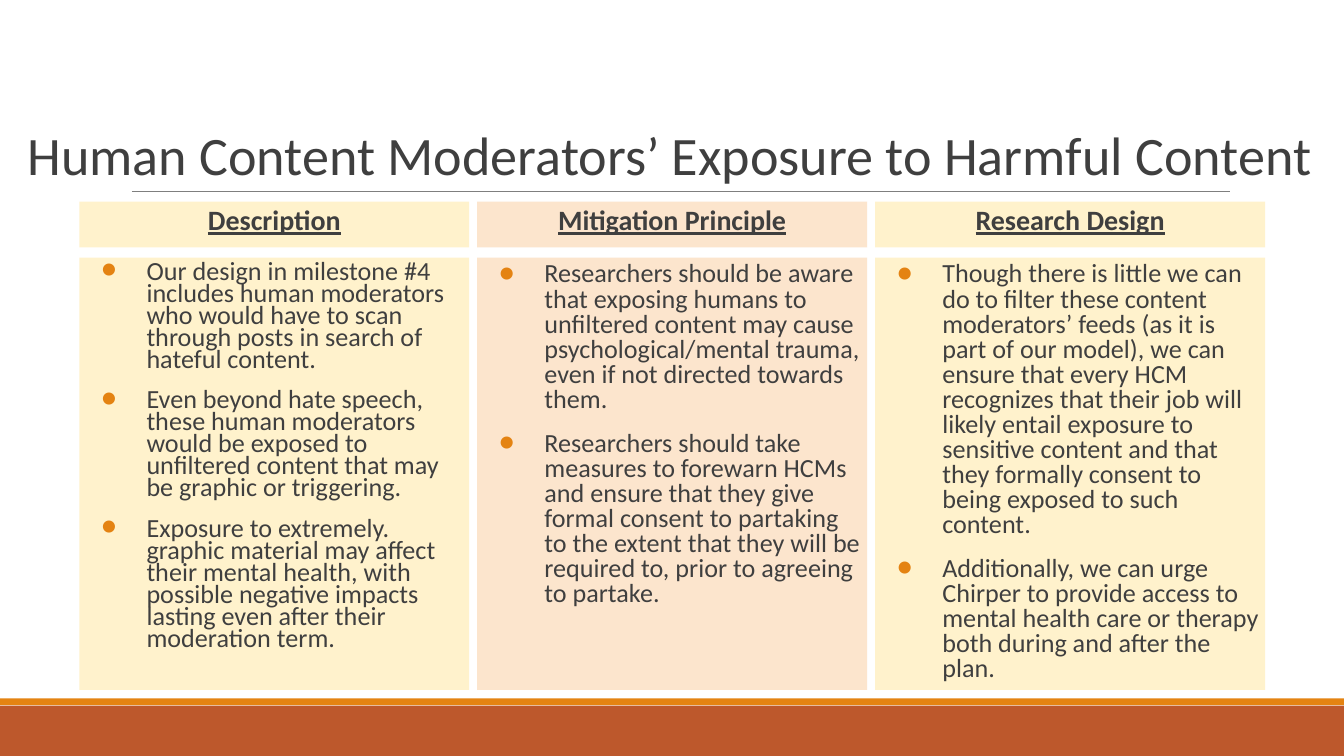
from dataclasses import dataclass
from typing import NamedTuple

from lxml.etree import SubElement
from pptx import Presentation
from pptx.dml.color import RGBColor
from pptx.enum.shapes import MSO_CONNECTOR, MSO_SHAPE
from pptx.enum.text import MSO_ANCHOR, PP_ALIGN
from pptx.oxml.ns import qn
from pptx.util import Cm, Pt


@dataclass(frozen=True)
class Theme:
    font: str = "Calibri"
    text: str = "3F3F3F"
    accent: str = "E48312"
    footer: str = "BD582C"
    rule: str = "7F7F7F"
    cream: str = "FFF2CC"
    peach: str = "FCE5CD"
    title_size: int = 29
    heading_size: int = 15
    body_size: int = 14


class Box(NamedTuple):
    left: float
    top: float
    width: float
    height: float

    def lengths(self) -> list:
        return [Cm(value) for value in self]


class Column(NamedTuple):
    heading: str
    fill: str
    line_spacing: float
    points: tuple


THEME = Theme()
SLIDE_WIDTH, SLIDE_HEIGHT = 25.4, 14.29
COLUMN_LEFT, COLUMN_WIDTH, COLUMN_PITCH = 1.5, 7.37, 7.52
HEADING_TOP, HEADING_HEIGHT = 3.81, 0.87
BODY_TOP, BODY_HEIGHT = 4.87, 8.17

COLUMNS = (
    Column("Description", THEME.cream, 0.7, (
        "Our design in milestone #4 includes human moderators who would have "
        "to scan through posts in search of hateful content.",
        "Even beyond hate speech, these human moderators would be exposed to "
        "unfiltered content that may be graphic or triggering.",
        "Exposure to extremely. graphic material may affect their mental "
        "health, with possible negative impacts lasting even after their "
        "moderation term.",
    )),
    Column("Mitigation Principle", THEME.peach, 0.8, (
        "Researchers should be aware that exposing humans to unfiltered "
        "content may cause psychological/mental trauma, even if not directed "
        "towards them.",
        "Researchers should take measures to forewarn HCMs and ensure that "
        "they give formal consent to partaking to the extent that they will "
        "be required to, prior to agreeing to partake.",
    )),
    Column("Research Design", THEME.cream, 0.8, (
        "Though there is little we can do to filter these content "
        "moderators’ feeds (as it is part of our model), we can ensure that "
        "every HCM recognizes that their job will likely entail exposure to "
        "sensitive content and that they formally consent to being exposed "
        "to such content.",
        "Additionally, we can urge Chirper to provide access to mental "
        "health care or therapy both during and after the plan.",
    )),
)


def add_panel(slide, box: Box, fill: str):
    panel = slide.shapes.add_shape(MSO_SHAPE.RECTANGLE, *box.lengths())
    panel.shadow.inherit = False
    panel.fill.solid()
    panel.fill.fore_color.rgb = RGBColor.from_string(fill)
    panel.line.fill.background()
    return panel


def prepare_frame(shape, side_inset: float, anchor):
    frame = shape.text_frame
    frame.word_wrap = True
    frame.vertical_anchor = anchor
    frame.margin_left = frame.margin_right = Cm(side_inset)
    frame.margin_top = frame.margin_bottom = Cm(0.1)
    return frame


def add_text(paragraph, text: str, size: int, spacing: float,
             align=PP_ALIGN.LEFT, emphasized: bool = False) -> None:
    paragraph.alignment = align
    paragraph.line_spacing = spacing
    run = paragraph.add_run()
    run.text = text
    run.font.name = THEME.font
    run.font.size = Pt(size)
    run.font.color.rgb = RGBColor.from_string(THEME.text)
    run.font.bold = emphasized
    run.font.underline = emphasized


def add_bullet(paragraph) -> None:
    properties = paragraph._p.get_or_add_pPr()
    properties.set("marL", str(Cm(1.27)))
    properties.set("indent", str(Cm(-0.86)))
    color = SubElement(properties, qn("a:buClr"))
    SubElement(color, qn("a:srgbClr")).set("val", THEME.accent)
    SubElement(properties, qn("a:buFont")).set("typeface", THEME.font)
    SubElement(properties, qn("a:buChar")).set("char", "●")


def add_title(slide, text: str) -> None:
    title = slide.shapes.add_textbox(*Box(0.34, 0.61, 25.06, 3.02).lengths())
    frame = prepare_frame(title, 0.18, MSO_ANCHOR.BOTTOM)
    add_text(frame.paragraphs[0], text, THEME.title_size, 0.85)


def add_title_rule(slide) -> None:
    rule = slide.shapes.add_connector(
        MSO_CONNECTOR.STRAIGHT, Cm(2.49), Cm(3.62), Cm(23.24), Cm(3.62))
    rule.line.color.rgb = RGBColor.from_string(THEME.rule)
    rule.line.width = Pt(0.75)
    SubElement(rule._element.spPr, qn("a:effectLst"))


def add_body(slide, column: Column, left: float) -> None:
    body = add_panel(slide, Box(left, BODY_TOP, COLUMN_WIDTH, BODY_HEIGHT),
                     column.fill)
    frame = prepare_frame(body, 0, MSO_ANCHOR.TOP)
    for index, point in enumerate(column.points):
        paragraph = frame.add_paragraph() if index else frame.paragraphs[0]
        add_text(paragraph, point, THEME.body_size, column.line_spacing)
        paragraph.space_before = Pt(10 if index else 9)
        last = index == len(column.points) - 1
        paragraph.space_after = Pt(10 if last else 0)
        add_bullet(paragraph)


def add_heading(slide, column: Column, left: float) -> None:
    heading = add_panel(
        slide, Box(left, HEADING_TOP, COLUMN_WIDTH, HEADING_HEIGHT), column.fill)
    paragraph = prepare_frame(heading, 0, MSO_ANCHOR.TOP).paragraphs[0]
    add_text(paragraph, column.heading, THEME.heading_size, 0.9,
             PP_ALIGN.CENTER, emphasized=True)
    paragraph.space_before = Pt(9)
    paragraph.space_after = Pt(2)


def main() -> None:
    presentation = Presentation()
    presentation.slide_width = Cm(SLIDE_WIDTH)
    presentation.slide_height = Cm(SLIDE_HEIGHT)
    slide = presentation.slides.add_slide(presentation.slide_layouts[6])

    add_panel(slide, Box(0, 13.34, SLIDE_WIDTH, 0.95), THEME.footer)
    add_panel(slide, Box(0, 13.2, SLIDE_WIDTH, 0.13), THEME.accent)
    add_title_rule(slide)
    add_title(slide, "Human Content Moderators’ Exposure to Harmful Content")
    for index, column in enumerate(COLUMNS):
        left = COLUMN_LEFT + index * COLUMN_PITCH
        add_body(slide, column, left)
        add_heading(slide, column, left)

    presentation.save("out.pptx")


if __name__ == "__main__":
    main()
